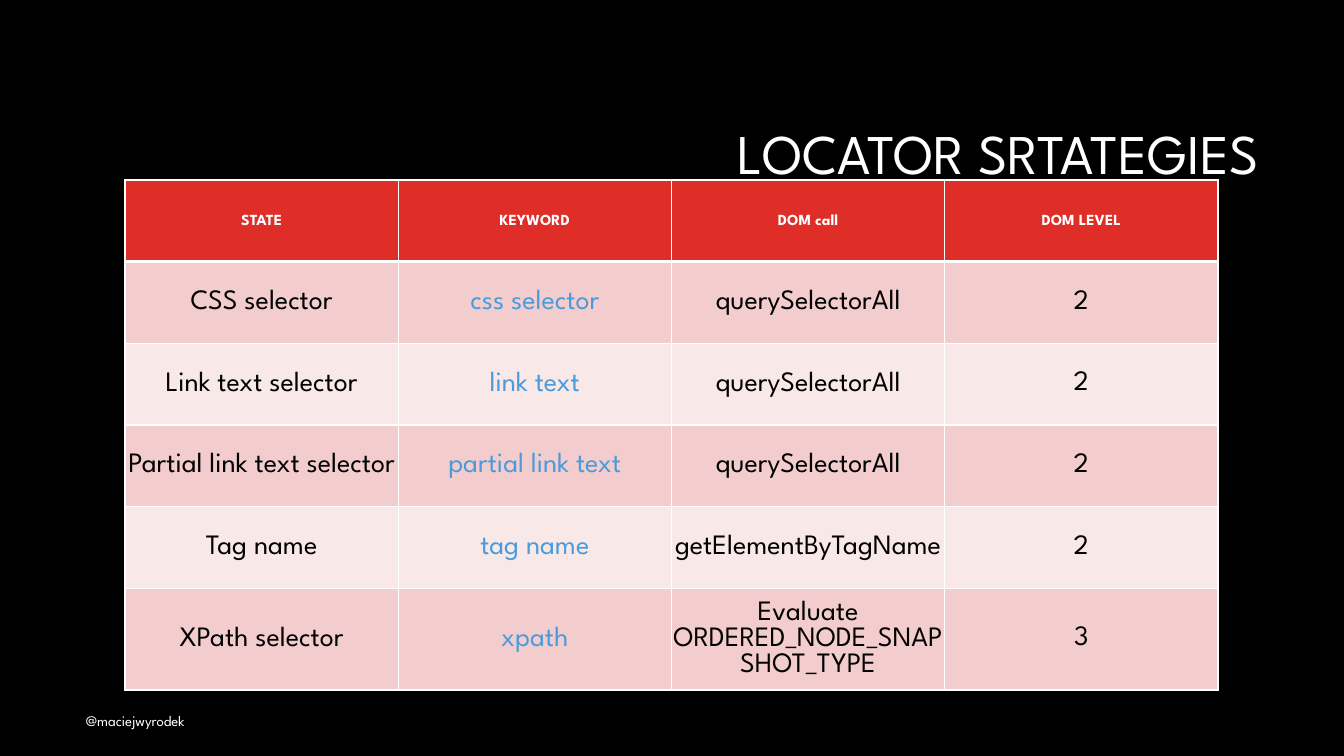
from lxml.etree import SubElement
from pptx import Presentation
from pptx.dml.color import RGBColor
from pptx.enum.text import MSO_ANCHOR as Anchor, PP_ALIGN as Align
from pptx.oxml.ns import qn
from pptx.util import Emu, Pt

EMU_PER_PX = 914400 / 100.8
COLORS = {
    "background": "000000",
    "white": "FFFFFF",
    "header": "DF2E28",
    "band_dark": "F3CDCD",
    "band_light": "F9E8E8",
    "text": "000000",
    "keyword": "4A9BDC",
}
HEADINGS = ["STATE", "KEYWORD", "DOM call", "DOM LEVEL"]
STRATEGIES = [
    ["CSS selector", "css selector", "querySelectorAll", "2"],
    ["Link text selector", "link text", "querySelectorAll", "2"],
    ["Partial link text selector", "partial link text", "querySelectorAll", "2"],
    ["Tag name", "tag name", "getElementByTagName", "2"],
    ["XPath selector", "xpath", "Evaluate\nORDERED_NODE_SNAPSHOT_TYPE", "3"],
]


def px(length):
    return Emu(round(length * EMU_PER_PX))


def color(name):
    return RGBColor.from_string(COLORS[name])


class SlideBuilder:
    font_name = "League Spartan"

    def __init__(self, slide):
        self.slide = slide

    def background(self, fill):
        background_fill = self.slide.background.fill
        background_fill.solid()
        background_fill.fore_color.rgb = color(fill)

    def add_text(self, frame, text, size, ink, align, bold=False):
        frame.word_wrap = True
        paragraph = frame.paragraphs[0]
        paragraph.alignment = align
        for index, line in enumerate(text.split("\n")):
            if index:
                paragraph.add_line_break()
            run = paragraph.add_run()
            run.text = line
            run.font.name = self.font_name
            run.font.size = Pt(size)
            run.font.bold = bold
            run.font.color.rgb = color(ink)
        return paragraph

    def text_box(self, box, text, size, align=Align.LEFT, spacing=1.0):
        shape = self.slide.shapes.add_textbox(*map(px, box))
        shape.text_frame.vertical_anchor = Anchor.MIDDLE
        paragraph = self.add_text(shape.text_frame, text, size, "white", align)
        paragraph.line_spacing = spacing

    def borders(self, cell, widths):
        properties = cell._tc.get_or_add_tcPr()
        for index, (side, width) in enumerate(widths.items()):
            line = SubElement(properties, qn(f"a:ln{side}"), w=str(Pt(width)))
            fill = SubElement(line, qn("a:solidFill"))
            SubElement(fill, qn("a:srgbClr"), val=COLORS["white"])
            properties.insert(index, line)

    def cell(self, cell, text, size, ink, fill, bold, widths):
        cell.fill.solid()
        cell.fill.fore_color.rgb = color(fill)
        cell.vertical_anchor = Anchor.MIDDLE
        cell.margin_left = cell.margin_right = cell.margin_top = px(1)
        cell.margin_bottom = 0
        self.add_text(cell.text_frame, text, size, ink, Align.CENTER, bold)
        self.borders(cell, widths)

    def table(self, box, headings, rows):
        grid = [headings, *rows]
        left, top, width, height = map(px, box)
        table = self.slide.shapes.add_table(
            len(grid), len(headings), left, top, width, height).table
        for row_index, row in enumerate(grid):
            header = row_index == 0
            band = "band_dark" if row_index % 2 else "band_light"
            # The header is set off by a thicker rule
            widths = {"L": 1, "R": 1,
                      "T": 3 if row_index == 1 else 1,
                      "B": 3 if header else 1}
            for column_index, text in enumerate(row):
                cell = table.cell(row_index, column_index)
                if header:
                    self.cell(cell, text, 11, "white", "header", True, widths)
                else:
                    ink = "keyword" if column_index == 1 else "text"
                    self.cell(cell, text, 20, ink, band, False, widths)
                # Level numbers below the first strategy have even margins
                if row_index > 1 and column_index == 3:
                    cell.margin_top = cell.margin_bottom = px(3)


def main():
    presentation = Presentation()
    presentation.slide_width = px(1344)
    presentation.slide_height = px(756)
    builder = SlideBuilder(
        presentation.slides.add_slide(presentation.slide_layouts[6]))
    builder.background("background")

    # Title
    builder.text_box((320, 85, 949, 142), "LOCATOR SRTATEGIES", 40, Align.RIGHT, 0.9)

    # Locator table
    builder.table((125, 180, 1093, 490), HEADINGS, STRATEGIES)

    # Footer
    builder.text_box((76, 701, 857, 40), "@maciejwyrodek", 10.5)

    presentation.save("out.pptx")


if __name__ == "__main__":
    main()
